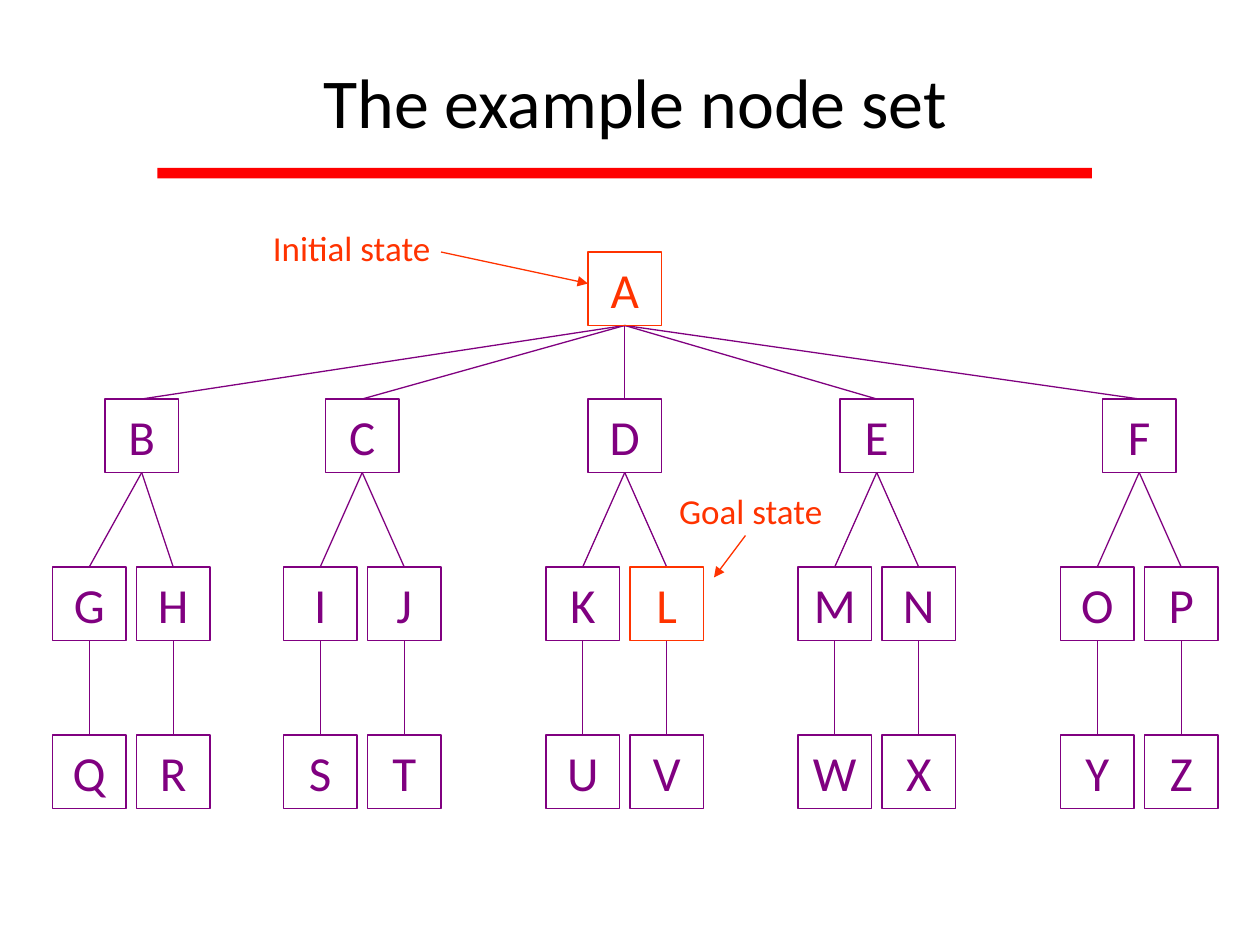
from lxml import etree
from pptx import Presentation
from pptx import util as u
from pptx.dml.color import RGBColor
from pptx.enum import shapes, text
from pptx.oxml.ns import qn

PX = u.Inches(1) // 120
COLORS = {"node": "800080", "mark": "FF3300", "rule": "FF0000", "title": "000000"}
SIDE = 70
ROWS = [240, 380, 540, 700]

prs = Presentation()
prs.slide_width, prs.slide_height = 1200 * PX, 900 * PX
s = prs.slides.add_slide(prs.slide_layouts[5])


def write(sp, words, size, color):
    tf = sp.text_frame
    tf.word_wrap = True
    tf.vertical_anchor = text.MSO_ANCHOR.MIDDLE
    p = tf.paragraphs[0]
    p.alignment = text.PP_ALIGN.CENTER
    r = p.add_run()
    r.text = words
    r.font.name, r.font.size = "Calibri", u.Pt(size)
    r.font.color.rgb = RGBColor.from_string(COLORS[color])


def connect(x1, y1, x2, y2, color="node", arrow=False):
    c = s.shapes.add_connector(
        shapes.MSO_CONNECTOR.STRAIGHT, x1 * PX, y1 * PX, x2 * PX, y2 * PX)
    c.line.color.rgb = RGBColor.from_string(COLORS[color])
    c.line.width = u.Pt(0.75)
    if arrow:
        etree.SubElement(c.line._get_or_add_ln(), qn("a:tailEnd"), type="triangle")
    etree.SubElement(c._element.spPr, qn("a:effectLst"))


title = s.shapes.title
title.left, title.top, title.width, title.height = 270 * PX, 50 * PX, 670 * PX, 92 * PX
write(title, "The example node set", 40, "title")

rule = s.shapes.add_shape(
    shapes.MSO_SHAPE.RECTANGLE, 150 * PX, 160 * PX, 890 * PX, 10 * PX)
rule.shadow.inherit = False
rule.fill.solid()
rule.fill.fore_color.rgb = RGBColor.from_string(COLORS["rule"])
rule.line.fill.background()

nodes = {"A": (560, ROWS[0])}
edges = []
branches = [("B", 100, "GH", "QR"), ("C", 310, "IJ", "ST"), ("D", 560, "KL", "UV"),
            ("E", 800, "MN", "WX"), ("F", 1050, "OP", "YZ")]
for parent, x, children, leaves in branches:
    nodes[parent] = (x, ROWS[1])
    edges.append(("A", parent))
    first = x - (50 if parent == "B" else 40)
    for i, (child, leaf) in enumerate(zip(children, leaves)):
        nodes[child] = (first + 80 * i, ROWS[2])
        nodes[leaf] = (first + 80 * i, ROWS[3])
        edges += [(parent, child), (child, leaf)]

for start, end in edges:
    (x1, y1), (x2, y2) = nodes[start], nodes[end]
    connect(x1 + SIDE // 2, y1 + SIDE, x2 + SIDE // 2, y2)

for name, (x, y) in sorted(nodes.items()):
    color = "mark" if name in "AL" else "node"
    sp = s.shapes.add_shape(
        shapes.MSO_SHAPE.RECTANGLE, x * PX, y * PX, SIDE * PX, SIDE * PX)
    sp.shadow.inherit = False
    sp.fill.background()
    sp.line.color.rgb = RGBColor.from_string(COLORS[color])
    sp.line.width = u.Pt(0.75)
    write(sp, name, 28, color)

labels = [("Initial state", 190, 210, 290, (420, 240, 560, 270)),
          ("Goal state", 620, 460, 190, (710, 510, 680, 550))]
for words, x, y, w, ends in labels:
    sp = s.shapes.add_textbox(x * PX, y * PX, w * PX, 52 * PX)
    write(sp, words, 20, "mark")
    connect(*ends, color="mark", arrow=True)

prs.save("out.pptx")
